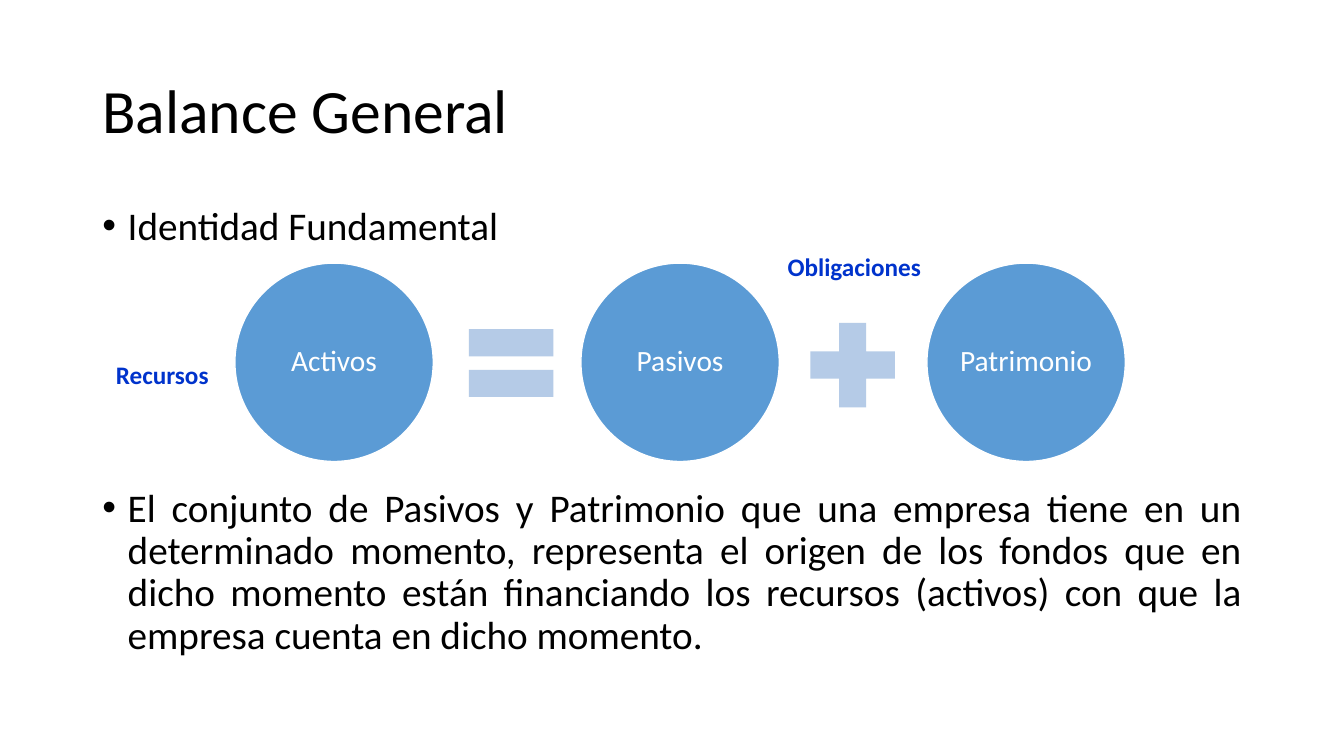
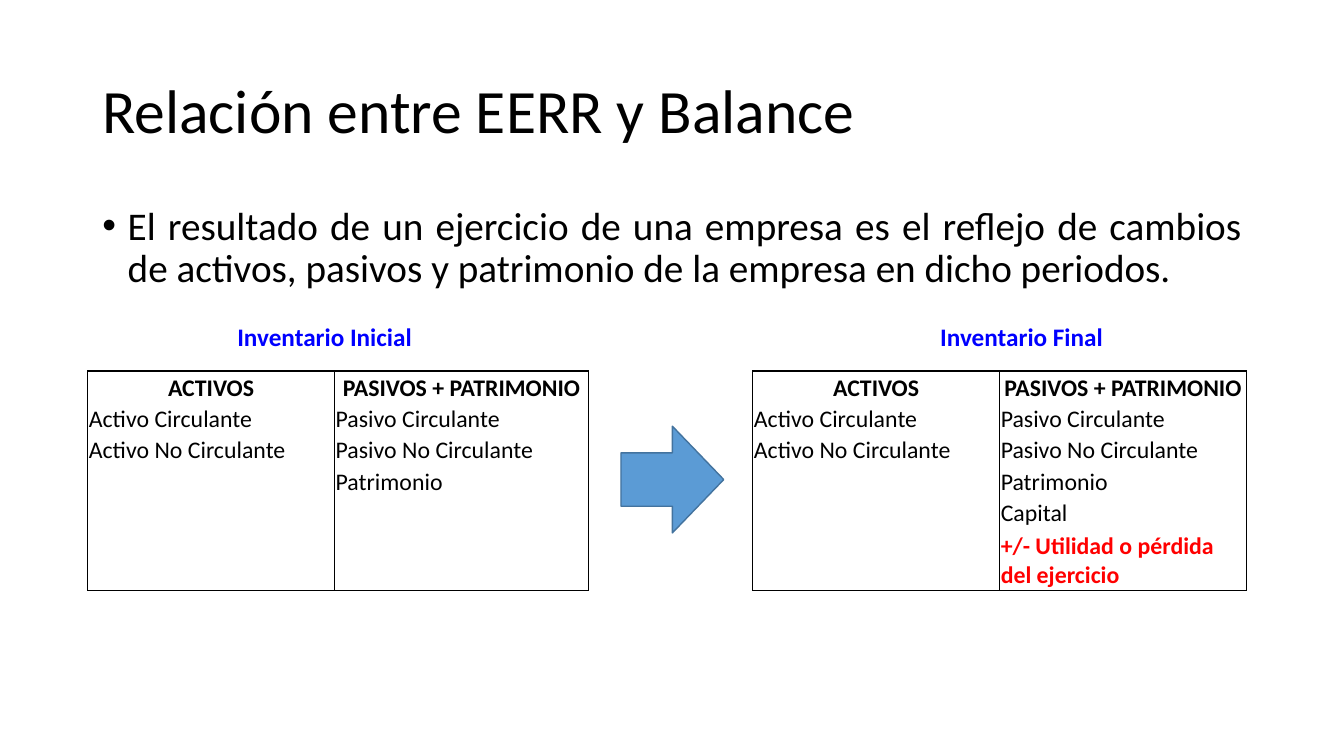
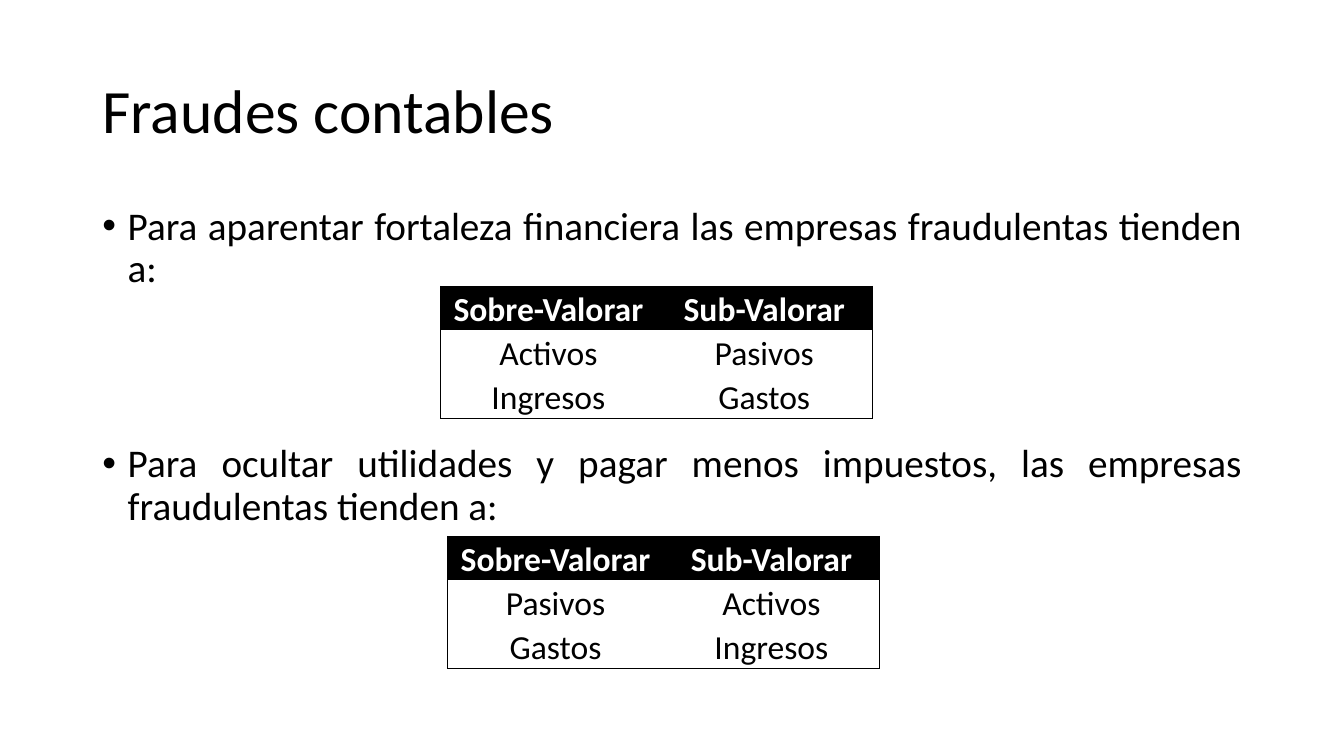
from lxml.etree import SubElement
from pptx import Presentation
from pptx.dml.color import RGBColor
from pptx.enum.shapes import MSO_SHAPE as Shape
from pptx.enum.text import MSO_ANCHOR as Anchor, PP_ALIGN as Align
from pptx.oxml.ns import qn
from pptx.util import Cm, Pt

FONT = "Calibri"
BLACK, WHITE, RED = "000000", "FFFFFF", "FF0000"
BLUE, PALE_BLUE, DARK_BLUE = "5B9BD5", "B5CBE7", "43739E"
ROYAL_BLUE, PURE_BLUE = "0033CC", "0000FF"
MARGIN, CONTENT_WIDTH = 2.33, 29.21


def color(hex_string):
    return RGBColor.from_string(hex_string)


def add_run(paragraph, text, size, hex_color=BLACK, bold=False):
    run = paragraph.add_run()
    run.text = text
    run.font.name, run.font.size, run.font.bold = FONT, Pt(size), bold
    run.font.color.rgb = color(hex_color)


def add_bullet(paragraph):
    properties = paragraph._p.get_or_add_pPr()
    properties.set("marL", str(Cm(0.64)))
    properties.set("indent", str(-Cm(0.64)))
    SubElement(properties, qn("a:buFont"), typeface="Arial")
    SubElement(properties, qn("a:buChar"), char="•")


def set_borders(cell, drawn_sides, width):
    """Draw the named sides (L, R, T, B) in black and clear the others."""
    properties = cell._tc.get_or_add_tcPr()
    for side in "LRTB":
        line = SubElement(properties, qn(f"a:ln{side}"), w=str(Pt(width)))
        if side in drawn_sides:
            fill = SubElement(line, qn("a:solidFill"))
            SubElement(fill, qn("a:srgbClr"), val=BLACK)
        else:
            SubElement(line, qn("a:noFill"))


class Deck:
    def __init__(self):
        self.presentation = Presentation()
        self.presentation.slide_width = Cm(33.87)
        self.presentation.slide_height = Cm(19.05)
        self.slide = None

    def add_slide(self, title):
        layout = self.presentation.slide_layouts[6]
        self.slide = self.presentation.slides.add_slide(layout)
        frame = self.text_frame(MARGIN, 1.01, CONTENT_WIDTH, 3.68)
        frame.vertical_anchor = Anchor.MIDDLE
        paragraph = frame.paragraphs[0]
        paragraph.line_spacing = 0.9
        add_run(paragraph, title, 44)

    def text_frame(self, left, top, width, height):
        box = self.slide.shapes.add_textbox(Cm(left), Cm(top), Cm(width), Cm(height))
        box.text_frame.word_wrap = True
        return box.text_frame

    def body(self, *bullets):
        """Add bullets given as (text, space before in points)."""
        frame = self.text_frame(MARGIN, 5.08, CONTENT_WIDTH, 12.1)
        for index, (text, space) in enumerate(bullets):
            paragraph = frame.add_paragraph() if index else frame.paragraphs[0]
            paragraph.alignment = Align.JUSTIFY
            paragraph.line_spacing = 0.9
            paragraph.space_before = Pt(space)
            add_bullet(paragraph)
            add_run(paragraph, text, 28)

    def label(self, text, left, top, width, hex_color):
        frame = self.text_frame(left, top, width, 1.02)
        frame.word_wrap = False
        paragraph = frame.paragraphs[0]
        paragraph.alignment = Align.CENTER
        add_run(paragraph, text, 18, hex_color, bold=True)

    def shape(self, kind, left, top, width, height, fill, line=None, text=""):
        shape = self.slide.shapes.add_shape(kind, Cm(left), Cm(top), Cm(width), Cm(height))
        shape.shadow.inherit = False
        shape.fill.solid()
        shape.fill.fore_color.rgb = color(fill)
        if line:
            shape.line.color.rgb = color(line)
            shape.line.width = Pt(1)
        else:
            shape.line.fill.background()
        if text:
            frame = shape.text_frame
            frame.word_wrap = False
            frame.vertical_anchor = Anchor.MIDDLE
            paragraph = frame.paragraphs[0]
            paragraph.alignment = Align.CENTER
            paragraph.line_spacing = 0.9
            add_run(paragraph, text, 21, WHITE)

    def table(self, left, top, widths, heights, rows, size, verticals, border,
              gap=None, align=Align.LEFT, header_fill=None, header_color=BLACK):
        """Add a table framed outside the gap column, ruled at the given column edges."""
        table = self.slide.shapes.add_table(
            len(rows), len(widths), Cm(left), Cm(top),
            Cm(sum(widths)), Cm(sum(heights))).table
        table.first_row = table.horz_banding = False
        for column, width in zip(table.columns, widths):
            column.width = Cm(width)
        for row, height in zip(table.rows, heights):
            row.height = Cm(height)
        for r, texts in enumerate(rows):
            for c, text in enumerate(texts):
                cell = table.cell(r, c)
                cell.margin_left = cell.margin_right = cell.margin_top = Cm(0.03)
                cell.margin_bottom = 0
                cell.vertical_anchor = Anchor.BOTTOM
                sides = {"L": c in verticals, "R": c + 1 in verticals,
                         "T": r == 0 and c != gap,
                         "B": r == len(rows) - 1 and c != gap}
                set_borders(cell, [side for side in sides if sides[side]], border)
                header = r == 0
                if header and header_fill:
                    cell.fill.solid()
                    cell.fill.fore_color.rgb = color(header_fill)
                else:
                    cell.fill.background()
                paragraph = cell.text_frame.paragraphs[0]
                paragraph.alignment = Align.CENTER if header else align
                if text:
                    add_run(paragraph, text, size, header_color if header else BLACK, header)
                else:
                    SubElement(paragraph._p, qn("a:endParaRPr"), sz=str(size * 100))
        return table


def identity_slide(deck):
    deck.add_slide("Balance General")
    deck.body(
        ("Identidad Fundamental", 10),
        ("El conjunto de Pasivos y Patrimonio que una empresa tiene en un determinado "
         "momento, representa el origen de los fondos que en dicho momento están "
         "financiando los recursos (activos) con que la empresa cuenta en dicho momento.", 171))
    for index, name in enumerate(["Activos", "Pasivos", "Patrimonio"]):
        deck.shape(Shape.OVAL, 5.92 + index * 8.72, 6.63, 5, 5, BLUE, WHITE, name)
    deck.shape(Shape.MATH_EQUAL, 11.43, 7.7, 2.9, 2.9, PALE_BLUE)
    deck.shape(Shape.MATH_PLUS, 20.04, 7.75, 2.9, 2.9, PALE_BLUE)
    deck.label("Recursos", 2.62, 8.92, 2.94, ROYAL_BLUE)
    deck.label("Obligaciones", 19.16, 6.2, 4.74, ROYAL_BLUE)


def inventory_slide(deck):
    deck.add_slide("Relación entre EERR y Balance")
    deck.body(("El resultado de un ejercicio de una empresa es el reflejo de cambios de "
               "activos, pasivos y patrimonio de la empresa en dicho periodos.", 10))
    deck.shape(Shape.RIGHT_ARROW, 15.65, 10.74, 2.59, 2.69, BLUE, DARK_BLUE)
    deck.label("Inventario Inicial", 5.61, 7.98, 5.14, PURE_BLUE)
    deck.label("Inventario Final", 23.42, 7.98, 4.65, PURE_BLUE)
    shared = [["ACTIVOS", "PASIVOS + PATRIMONIO"],
              ["Activo Circulante", "Pasivo Circulante"],
              ["Activo No Circulante", "Pasivo No Circulante"],
              ["", "Patrimonio"]]
    rows = [pair + [""] + pair for pair in shared]
    rows += [["", "", "", "", "Capital"], [""] * 5]
    table = deck.table(2.21, 9.35, [6.22, 6.4, 4.14, 6.22, 6.22], [0.79] * 5 + [1.57],
                       rows, 17, verticals=range(6), border=1, gap=2)
    result = table.cell(5, 4).text_frame.paragraphs[0]
    add_run(result, "+/- Utilidad o pérdida del ejercicio", 17, RED, bold=True)


def fraud_slide(deck):
    deck.add_slide("Fraudes contables")
    deck.body(
        ("Para aparentar fortaleza financiera las empresas fraudulentas tienden a:", 10),
        ("Para ocultar utilidades y pagar menos impuestos, las empresas fraudulentas "
         "tienden a:", 109))
    header = ["Sobre-Valorar", "Sub-Valorar"]
    strength = [["Activos", "Pasivos"], ["Ingresos", "Gastos"]]
    concealment = [pair[::-1] for pair in strength]
    for left, top, pairs in [(11.1, 7.21, strength), (11.28, 13.51, concealment)]:
        deck.table(left, top, [5.44] * 2, [1.11] * 3, [header] + pairs, 24,
                   verticals=(0, 2), border=0.5, align=Align.CENTER,
                   header_fill=BLACK, header_color=WHITE)


def main():
    deck = Deck()
    identity_slide(deck)
    inventory_slide(deck)
    fraud_slide(deck)
    deck.presentation.save("out.pptx")


if __name__ == "__main__":
    main()
